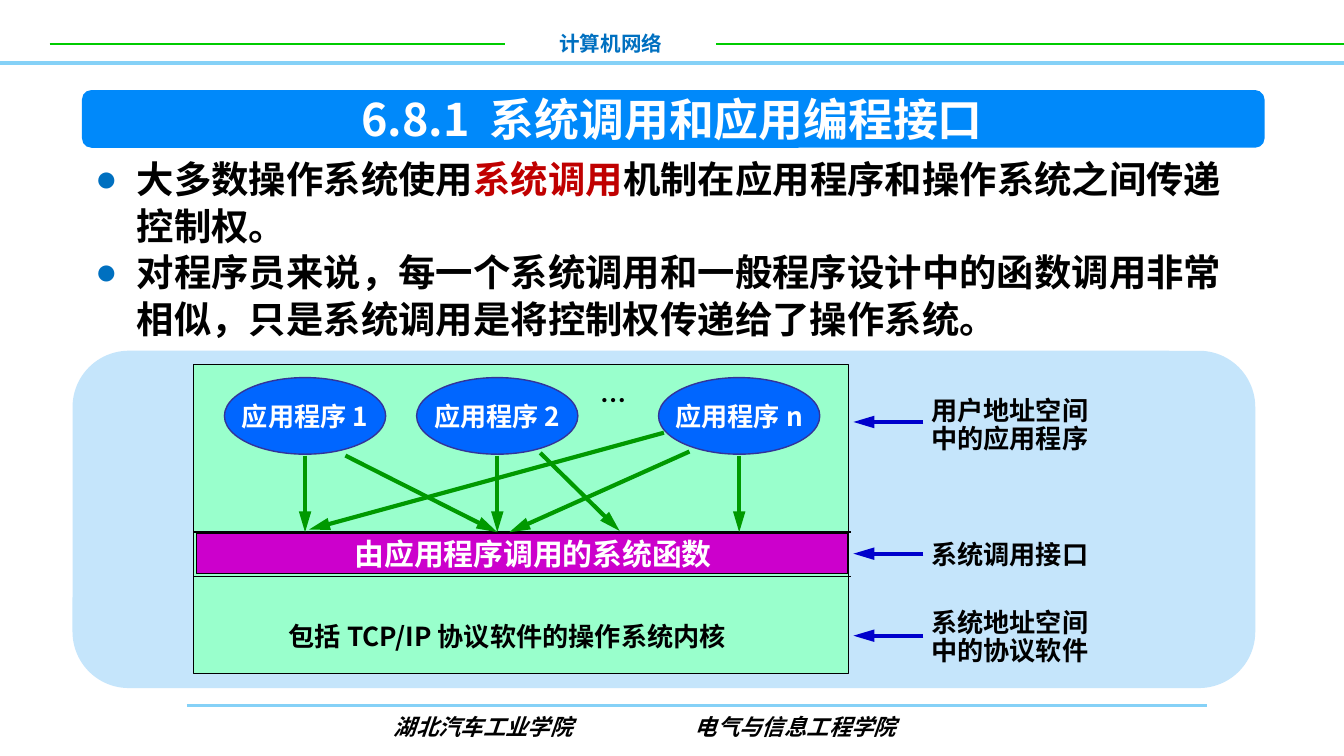
from collections import namedtuple
from lxml import etree
from pptx import Presentation
from pptx import util as u
from pptx.dml import color
from pptx.enum import shapes, text
from pptx.oxml import ns

CELL = u.Inches(0.01)
COLUMNS = 1000
CJK = "Noto Sans CJK SC"
Box = namedtuple("Box", "left top width height")


def inside(box, left, top, width, height):
    return Box(box.left + left, box.top + top, width, height)


def cells(box):
    return [length * CELL for length in box]


def rgb(value):
    return color.RGBColor.from_string(value)


def child(parent, tag, **attributes):
    return etree.SubElement(parent, ns.qn("a:" + tag), attributes)


def style(para, size, hue, name=CJK, italic=False):
    for span in para.runs:
        font = span.font
        font.name, font.size, font.bold = name, u.Pt(size), True
        font.italic = italic
        font.color.rgb = rgb(hue)
        latin = font._element.find(ns.qn("a:latin"))
        for old in font._element.findall(ns.qn("a:ea")):
            font._element.remove(old)
        latin.addnext(etree.Element(ns.qn("a:ea"), typeface=CJK))


def write(shape, words, size, hue, align="LEFT", wrap=False, spacing=None, **look):
    frame = shape.text_frame
    frame.text = words
    frame.word_wrap = wrap
    for para in frame.paragraphs:
        para.alignment = text.PP_ALIGN[align]
        if spacing:
            para.line_spacing = spacing
        style(para, size, hue, **look)
    return shape


def add_text(canvas, box, *content, **look):
    return write(canvas.add_textbox(*cells(box)), *content, **look)


def add_shape(canvas, kind, box, fill, line=None, weight=0.75):
    shape = canvas.add_shape(shapes.MSO_SHAPE[kind], *cells(box))
    shape.shadow.inherit = False
    shape.fill.solid()
    shape.fill.fore_color.rgb = rgb(fill)
    if line:
        shape.line.color.rgb = rgb(line)
        shape.line.width = u.Pt(weight)
    else:
        shape.line.fill.background()
    return shape


def add_line(canvas, box, start, end, hue, weight, arrow=False):
    points = [box.left + start[0], box.top + start[1], box.left + end[0], box.top + end[1]]
    line = canvas.add_connector(shapes.MSO_CONNECTOR.STRAIGHT, *cells(points))
    line.line.color.rgb = rgb(hue)
    line.line.width = u.Pt(weight)
    if arrow:
        child(line.line._get_or_add_ln(), "tailEnd", type="triangle", w="med", len="lg")
    child(line._element.spPr, "effectLst")


def add_header(canvas, box):
    add_line(canvas, box, (0, 47), (box.width, 47), "85D1F7", 2)
    add_text(canvas, inside(box, 376, 18, 157, 29), "计算机网络", 11, "0070C0", align="CENTER", wrap=True)
    for start, end in ((533, box.width), (37, 376)):
        add_line(canvas, box, (start, 33), (end, 33), "00CC00", 1)


def add_footer(canvas, box):
    add_line(canvas, box, (139, 0), (898, 0), "85D1F7", 1.5)
    note = add_text(canvas, inside(box, 102, 1, 756, 30), "湖北汽车工业学院\t电气与信息工程学院",
                    12, "000000", wrap=True, name="Arial", italic=True)
    note.text_frame.margin_left = 191 * CELL
    tabs = child(note.text_frame.paragraphs[0]._p.get_or_add_pPr(), "tabLst")
    child(tabs, "tab", pos=str(224 * CELL), algn="l")


def add_heading(page, box):
    bar = add_shape(page.shapes, "ROUNDED_RECTANGLE", box, "0089FA")
    title = page.shapes.title
    bar._element.addnext(title._element)
    title.left, title.top, title.width, title.height = cells(inside(box, 193, -4, 492, 50))
    write(title, "6.8.1  系统调用和应用编程接口", 24, "FFFFFF", align="CENTER")
    title.text_frame.vertical_anchor = text.MSO_ANCHOR.MIDDLE
    title.text_frame.auto_size = text.MSO_AUTO_SIZE.NONE


def add_bullets(canvas, box):
    points = (
        "大多数操作系统使用系统调用机制在应用程序和操作系统之间传递控制权。",
        "对程序员来说，每一个系统调用和一般程序设计中的函数调用非常相似，只是系统调用是将控制权传递给了操作系统。",
    )
    shape = add_text(canvas, box, "\n".join(points), 20, "000000", wrap=True, spacing=u.Pt(25))
    paragraphs = shape.text_frame.paragraphs
    for para in paragraphs:
        props = para._p.get_or_add_pPr()
        props.set("marL", str(31 * CELL))
        props.set("indent", str(-31 * CELL))
        child(child(props, "buClr"), "srgbClr", val="0070C0")
        child(props, "buFont", typeface="Arial")
        child(props, "buChar", char="●")

    first = paragraphs[0]
    term = "系统调用"
    before, after = points[0].split(term)
    first.runs[0].text = before
    for words in (term, after):
        first.add_run().text = words
    style(first, 20, "000000")
    first.runs[1].font.color.rgb = rgb("C00000")


def add_system(canvas, box):
    add_shape(canvas, "RECTANGLE", box, "99FFCC", "000000", 0.5)
    lefts = (23, 166, 346)
    for left, label in zip(lefts, "12n"):
        program = add_shape(canvas, "OVAL", inside(box, left, 10, 120, 57), "0066FF", "333399")
        write(program, f"应用程序 {label}", 14, "FFFFFF", align="CENTER")
        program.text_frame.vertical_anchor = text.MSO_ANCHOR.MIDDLE
    add_text(canvas, inside(box, 293, 10, 39, 34), "…", 14, "000000")

    add_shape(canvas, "RECTANGLE", inside(box, 2, 126, 485, 30), "CC00CC", "000000")
    for row in (125, 158):
        add_line(canvas, box, (0, row), (489, row), "000000", 0.75)
    add_text(canvas, inside(box, 110, 123, 289, 37), "由应用程序调用的系统函数", 16, "FFFFFF")

    calls = [((left + 60, 68), (left + 60, 125)) for left in lefts]
    calls += [((113, 68), (226, 125)), ((369, 65), (235, 125)),
              ((350, 51), (86, 123)), ((258, 66), (317, 124))]
    for start, end in calls:
        add_line(canvas, box, start, end, "009900", 2.25, arrow=True)
    add_text(canvas, inside(box, 61, 186, 354, 34), "包括 TCP/IP 协议软件的操作系统内核",
             14, "000000", wrap=True)


def add_legend(canvas, box):
    entries = (
        ("用户地址空间\n中的应用程序", 0, 52, 23, 0.9),
        ("系统调用接口", 105, 34, 121, None),
        ("系统地址空间\n中的协议软件", 158, 52, 182, 0.9),
    )
    for words, top, height, row, spacing in entries:
        group = canvas.add_group_shape().shapes
        add_text(group, inside(box, 48, top, 138, height), words, 14, "000000", spacing=spacing)
        add_line(group, box, (52, row), (0, row), "0000CC", 2.25, arrow=True)


def add_diagram(canvas, box):
    add_shape(canvas, "ROUNDED_RECTANGLE", box, "C5E5FB")
    add_system(canvas, inside(box, 90, 10, 487, 230))
    add_legend(canvas, inside(box, 581, 30, 186, 210))


def main():
    deck = Presentation()
    deck.slide_width = COLUMNS * CELL
    deck.slide_height = deck.slide_width * 9 // 16
    page = deck.slides.add_slide(deck.slide_layouts[5])
    add_footer(page.shapes, Box(0, 525, COLUMNS, 37))
    add_header(page.shapes, Box(0, 0, COLUMNS, 47))
    add_heading(page, Box(61, 67, 880, 43))
    add_bullets(page.shapes, Box(61, 110, 880, 148))
    add_diagram(page.shapes, Box(54, 261, 880, 251))
    deck.save("out.pptx")


if __name__ == "__main__":
    main()
